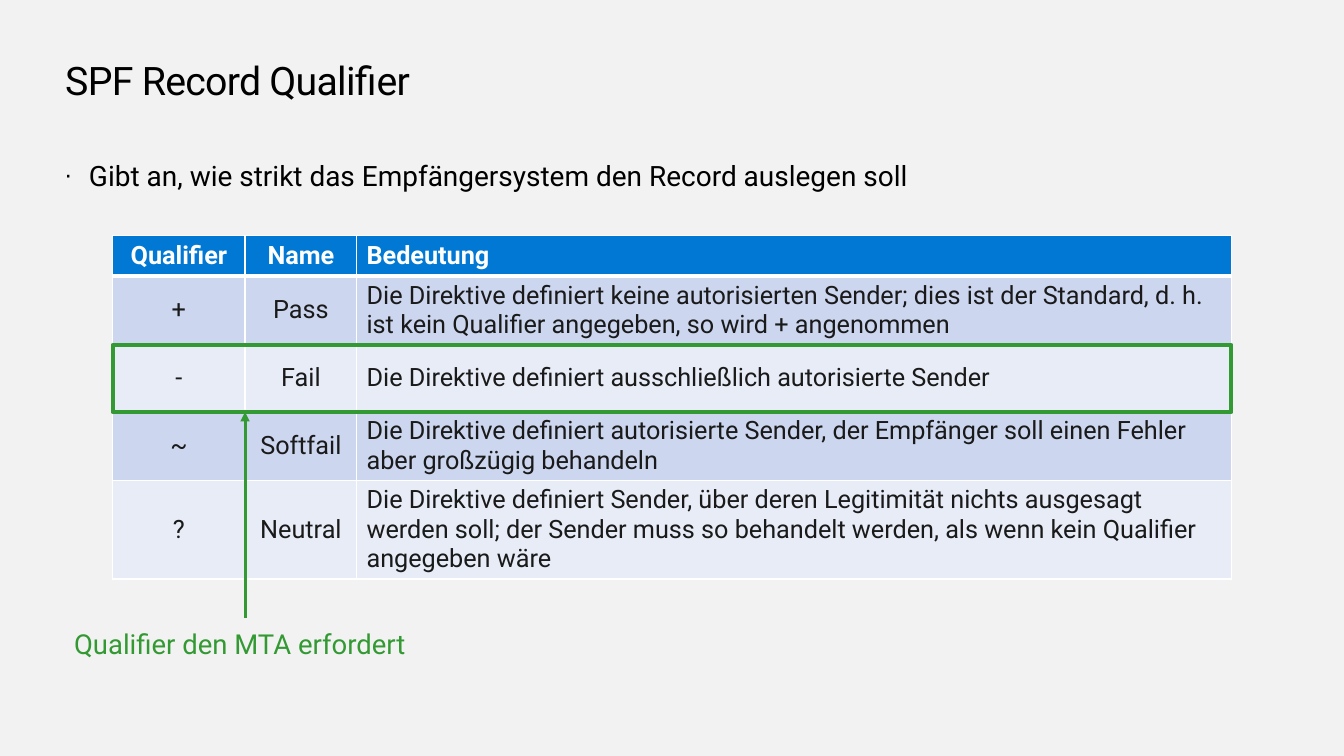
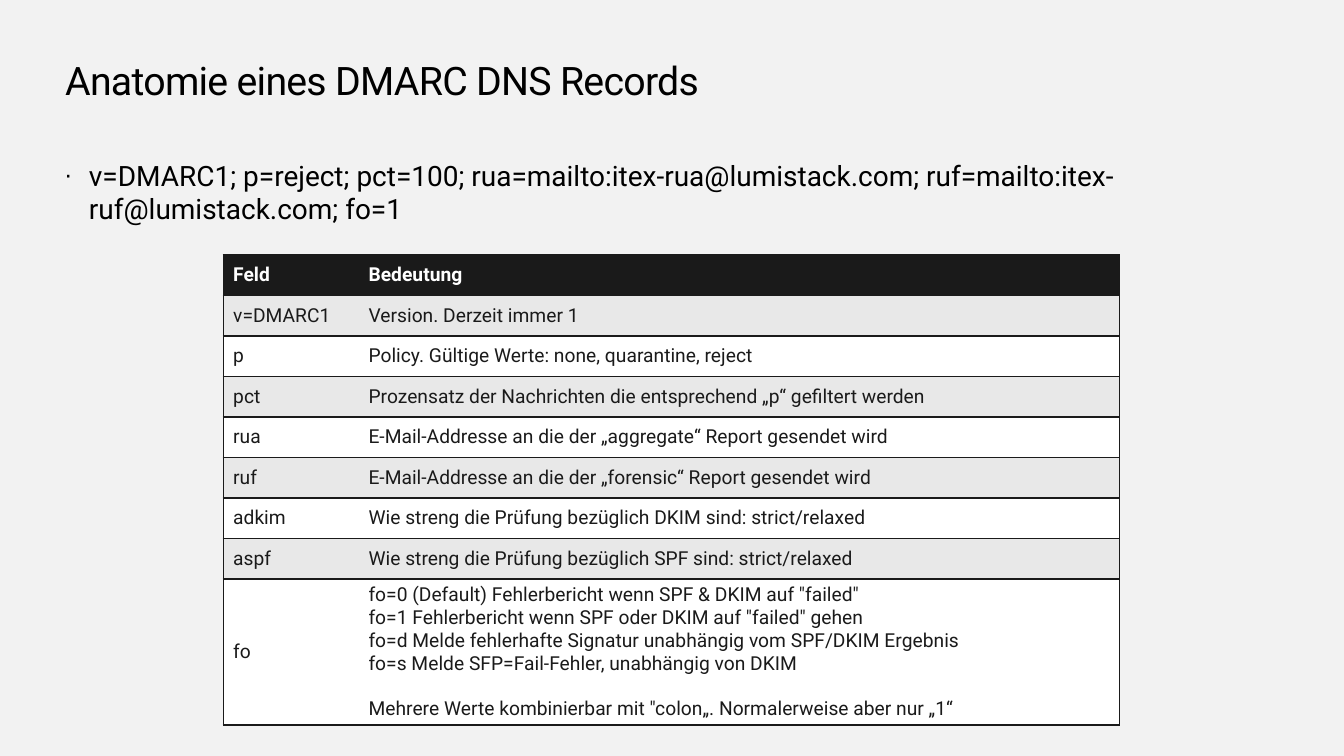
from collections import namedtuple
from dataclasses import dataclass

from lxml import etree
from pptx import Presentation
from pptx import util as u
from pptx.dml.color import RGBColor
from pptx.enum import shapes, text
from pptx.oxml.ns import qn

Box = namedtuple("Box", "left top width height")
TableStyle = namedtuple("TableStyle", "size header bands border header_rule inner_lines centred")


@dataclass(frozen=True)
class Theme:
    font: str = "Roboto"
    background: str = "F2F2F2"
    heading: str = "000000"
    ink: str = "1A1A1A"
    white: str = "FFFFFF"
    accent: str = "339933"
    title_size: float = 28.6
    body_size: float = 20.4
    label_size: float = 20
    title_spacing: int = -50


THEME = Theme()
SLIDE = Box(0, 0, 1360, 765)
TITLE = Box(66, 57, 1229, 48)
BODY_LEFT, BODY_TOP, BODY_WIDTH = 65, 160, 1229

QUALIFIER_STYLE = TableStyle(18.4, "0078D4", ("CCD6EF", "E7ECF7"), THEME.white, 3, True, 2)
FIELD_STYLE = TableStyle(14, THEME.ink, ("E8E8E8", THEME.white), THEME.ink, 1, False, 0)

QUALIFIER_ROWS = [
    ("Qualifier", "Name", "Bedeutung"),
    ("+", "Pass", "Die Direktive definiert keine autorisierten Sender; dies ist der Standard, "
     "d. h. ist kein Qualifier angegeben, so wird + angenommen"),
    ("-", "Fail", "Die Direktive definiert ausschließlich autorisierte Sender"),
    ("~", "Softfail", "Die Direktive definiert autorisierte Sender, der Empfänger soll einen "
     "Fehler aber großzügig behandeln"),
    ("?", "Neutral", "Die Direktive definiert Sender, über deren Legitimität nichts ausgesagt "
     "werden soll; der Sender muss so behandelt werden, als wenn kein Qualifier angegeben wäre"),
]
FIELD_ROWS = [
    ("Feld", "Bedeutung"),
    ("v=DMARC1", "Version. Derzeit immer 1"),
    ("p", "Policy. Gültige Werte: none, quarantine, reject"),
    ("pct", "Prozensatz der Nachrichten die entsprechend „p“ gefiltert werden"),
    ("rua", "E-Mail-Addresse an die der „aggregate“ Report gesendet wird"),
    ("ruf", "E-Mail-Addresse an die der „forensic“ Report gesendet wird"),
    ("adkim", "Wie streng die Prüfung bezüglich DKIM sind: strict/relaxed"),
    ("aspf", "Wie streng die Prüfung bezüglich SPF sind: strict/relaxed"),
    ("fo", 'fo=0 (Default) Fehlerbericht wenn SPF & DKIM auf "failed"\n'
     'fo=1 Fehlerbericht wenn SPF oder DKIM auf "failed" gehen\n'
     "fo=d Melde fehlerhafte Signatur unabhängig vom SPF/DKIM Ergebnis\n"
     "fo=s Melde SFP=Fail-Fehler, unabhängig von DKIM\n\n"
     'Mehrere Werte kombinierbar mit "colon„. Normalerweise aber nur „1“'),
]


def px(length):
    return u.Emu(length * 9144)


def emu(box):
    return [px(length) for length in box]


def rgb(colour):
    return RGBColor.from_string(colour)


def add_run(paragraph, words, size, colour, bold=False):
    run = paragraph.add_run()
    run.text = words
    run.font.name = THEME.font
    run.font.size = u.Pt(size)
    run.font.bold = bold
    run.font.color.rgb = rgb(colour)
    return run


def prepare_frame(shape, box):
    shape.left, shape.top, shape.width, shape.height = emu(box)
    frame = shape.text_frame
    frame.margin_left = frame.margin_top = frame.margin_right = frame.margin_bottom = 0
    frame.word_wrap = True
    frame.auto_size = text.MSO_AUTO_SIZE.NONE
    frame.vertical_anchor = text.MSO_ANCHOR.TOP
    paragraph = frame.paragraphs[0]
    paragraph.alignment = text.PP_ALIGN.LEFT
    return paragraph


def add_heading(slide, title, body, body_height):
    paragraph = prepare_frame(slide.shapes.title, TITLE)
    run = add_run(paragraph, title, THEME.title_size, THEME.heading)
    run.font._element.set("spc", str(THEME.title_spacing))

    body_box = Box(BODY_LEFT, BODY_TOP, BODY_WIDTH, body_height)
    paragraph = prepare_frame(slide.placeholders[1], body_box)
    add_run(paragraph, body, THEME.body_size, THEME.heading)
    properties = paragraph._p.get_or_add_pPr()
    properties.set("marL", str(px(25)))
    properties.set("indent", str(-px(25)))
    etree.SubElement(properties, qn("a:buSzPct"), val="90000")
    etree.SubElement(properties, qn("a:buChar"), char="·")


def set_borders(cell, widths, colour):
    properties = cell._tc.get_or_add_tcPr()
    for side in "LRTB":
        width = widths.get(side, 0)
        line = etree.SubElement(properties, qn("a:ln" + side), w=str(u.Pt(width)))
        if width:
            fill = etree.SubElement(line, qn("a:solidFill"))
            etree.SubElement(fill, qn("a:srgbClr"), val=colour)
        else:
            etree.SubElement(line, qn("a:noFill"))


def fill_cell(cell, words, style, is_header, centred):
    cell.vertical_anchor = text.MSO_ANCHOR.MIDDLE
    frame = cell.text_frame
    colour = THEME.white if is_header else THEME.ink
    paragraph = frame.paragraphs[0]
    for block_index, block in enumerate(words.split("\n\n")):
        for line_index, line in enumerate(block.split("\n")):
            if block_index or line_index:
                paragraph = frame.add_paragraph()
            if block_index and not line_index:
                paragraph.space_before = u.Pt(16.4)
            paragraph.alignment = text.PP_ALIGN.CENTER if centred else text.PP_ALIGN.LEFT
            add_run(paragraph, line, style.size, colour, is_header)


def add_styled_table(slide, left, top, widths, heights, rows, style):
    box = Box(left, top, sum(widths), sum(heights))
    table = slide.shapes.add_table(len(rows), len(widths), *emu(box)).table
    table.first_row = table.horz_banding = False
    for column, width in zip(table.columns, widths):
        column.width = px(width)
    last = len(widths) - 1
    for row_index, (words_in_row, height) in enumerate(zip(rows, heights)):
        table.rows[row_index].height = px(height)
        is_header = row_index == 0
        for column_index, words in enumerate(words_in_row):
            cell = table.cell(row_index, column_index)
            borders = {
                "L": int(style.inner_lines or column_index == 0),
                "R": int(style.inner_lines or column_index == last),
                "T": style.header_rule if row_index == 1 else 1,
                "B": style.header_rule if is_header else 1,
            }
            set_borders(cell, borders, style.border)
            cell.fill.solid()
            fill = style.header if is_header else style.bands[(row_index - 1) % 2]
            cell.fill.fore_color.rgb = rgb(fill)
            fill_cell(cell, words, style, is_header, column_index < style.centred)


def add_callout(slide, highlight, label, words):
    frame = slide.shapes.add_shape(shapes.MSO_SHAPE.RECTANGLE, *emu(highlight))
    frame.shadow.inherit = False
    frame.fill.background()
    frame.line.color.rgb = rgb(THEME.accent)
    frame.line.width = u.Pt(3)

    centre = label.left + label.width // 2
    arrow = slide.shapes.add_connector(
        shapes.MSO_CONNECTOR.STRAIGHT, px(centre), px(label.top - 10),
        px(centre), px(highlight.top + highlight.height))
    arrow.line.color.rgb = rgb(THEME.accent)
    arrow.line.width = u.Pt(2.25)
    etree.SubElement(arrow.line._get_or_add_ln(), qn("a:tailEnd"), type="triangle")
    etree.SubElement(arrow._element.spPr, qn("a:effectLst"))

    paragraph = prepare_frame(slide.shapes.add_textbox(*emu(label)), label)
    add_run(paragraph, words, THEME.label_size, THEME.accent)


def build_qualifier_slide(slide):
    add_heading(slide, "SPF Record Qualifier",
                "Gibt an, wie strikt das Empfängersystem den Record auslegen soll", 34)
    left, top = 114, 238
    widths, heights = [134, 113, 885], [41, 70, 67, 70, 100]
    add_styled_table(slide, left, top, widths, heights, QUALIFIER_ROWS, QUALIFIER_STYLE)
    highlight = Box(left, top + sum(heights[:2]), sum(widths), heights[2] + 1)
    add_callout(slide, highlight, Box(75, 635, 347, 34), "Qualifier den MTA erfordert")


def build_record_slide(slide):
    add_heading(slide, "Anatomie eines DMARC DNS Records",
                "v=DMARC1; p=reject; pct=100; rua=mailto:itex-rua@lumistack.com; "
                "ruf=mailto:itex-ruf@lumistack.com; fo=1", 69)
    heights = [41] * (len(FIELD_ROWS) - 1) + [147]
    add_styled_table(slide, 226, 258, [137, 770], heights, FIELD_ROWS, FIELD_STYLE)


def main():
    presentation = Presentation()
    presentation.slide_width, presentation.slide_height = px(SLIDE.width), px(SLIDE.height)
    background = presentation.slide_master.background.fill
    background.solid()
    background.fore_color.rgb = rgb(THEME.background)
    layout = presentation.slide_layouts[1]
    for build in (build_qualifier_slide, build_record_slide):
        build(presentation.slides.add_slide(layout))
    presentation.save("out.pptx")


if __name__ == "__main__":
    main()
